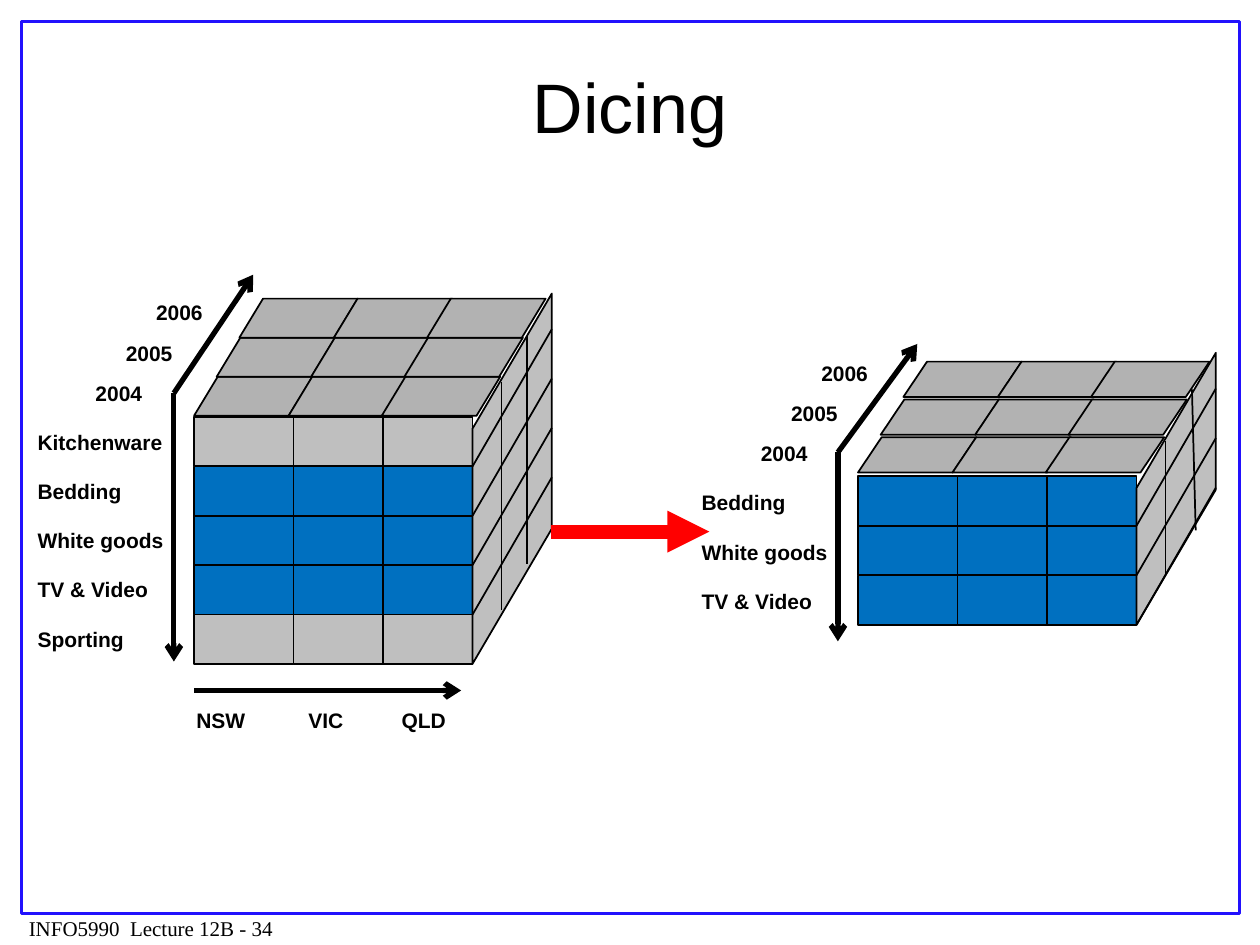
from dataclasses import dataclass

from lxml import etree
from pptx import Presentation
from pptx.dml.color import RGBColor
from pptx.enum.shapes import MSO_CONNECTOR, MSO_SHAPE
from pptx.enum.text import MSO_ANCHOR, MSO_AUTO_SIZE, PP_ALIGN
from pptx.oxml.ns import qn
from pptx.util import Inches, Pt

RECTANGLE = MSO_SHAPE.RECTANGLE
TILE = MSO_SHAPE.FLOWCHART_DATA
PARALLELOGRAM = MSO_SHAPE.PARALLELOGRAM
STRAIGHT = MSO_CONNECTOR.STRAIGHT
MIDDLE = MSO_ANCHOR.MIDDLE
CENTER = PP_ALIGN.CENTER
NO_AUTOSIZE = MSO_AUTO_SIZE.NONE
FIT_SHAPE = MSO_AUTO_SIZE.SHAPE_TO_FIT_TEXT


@dataclass(frozen=True)
class Theme:
    ink: str = "000000"
    frame: str = "2211FD"
    selected: str = "0070C0"
    unselected: str = "BFBFBF"
    top: str = "B2B2B2"
    dicing: str = "FF0000"
    font: str = "Arial"
    footer_font: str = "Times New Roman"
    title_size: int = 40
    label_size: int = 12
    edge: float = 1
    axis: float = 3


COLUMN_WIDTHS = (0.79, 0.71, 0.71)
TILE_OFFSETS = (0, 0.75, 1.49)
TILE_WIDTH = 0.94
ROW_SHIFT = 0.18
DEPTH = 0.63
RISE = 1.09
YEARS = ("2006", "2005", "2004")


class SlideBuilder:
    def __init__(self, slide, theme):
        self.slide = slide
        self.theme = theme
        self.shapes = slide.shapes

    def start_group(self):
        self.shapes = self.slide.shapes.add_group_shape().shapes

    def end_group(self):
        self.shapes = self.slide.shapes

    def add_run(self, paragraph, text, size, font, bold=False):
        run = paragraph.add_run()
        run.text = text
        run.font.size = Pt(size)
        run.font.name = font
        run.font.bold = bold
        run.font.color.rgb = RGBColor.from_string(self.theme.ink)

    def title(self, text, left, top, width, height):
        title = self.slide.shapes.title
        title.left, title.top = Inches(left), Inches(top)
        title.width, title.height = Inches(width), Inches(height)
        frame = title.text_frame
        frame.auto_size = NO_AUTOSIZE
        frame.vertical_anchor = MIDDLE
        frame.paragraphs[0].alignment = CENTER
        self.add_run(frame.paragraphs[0], text, self.theme.title_size, self.theme.font)

    def label(self, text, left, top, width=1.44, font=None, bold=True, tabs=()):
        """Add a one-line label; tabs are stops in inches from the text edge."""
        box = self.shapes.add_textbox(Inches(left), Inches(top), Inches(width), Inches(0.3))
        frame = box.text_frame
        frame.word_wrap = True
        frame.auto_size = FIT_SHAPE
        paragraph = frame.paragraphs[0]
        if tabs:
            properties = paragraph._p.get_or_add_pPr()
            stops = etree.SubElement(properties, qn("a:tabLst"))
            for stop in tabs:
                etree.SubElement(stops, qn("a:tab"), pos=str(Inches(stop)), algn="l")
        self.add_run(paragraph, text, self.theme.label_size, font or self.theme.font, bold)

    def shape(self, kind, left, top, width, height, fill=None, line=None, weight=None):
        shape = self.shapes.add_shape(
            kind, Inches(left), Inches(top), Inches(width), Inches(height))
        shape.shadow.inherit = False
        if fill:
            shape.fill.solid()
            shape.fill.fore_color.rgb = RGBColor.from_string(fill)
        else:
            shape.fill.background()
        shape.line.color.rgb = RGBColor.from_string(line or self.theme.ink)
        shape.line.width = Pt(weight or self.theme.edge)
        return shape

    def line(self, start, end, color=None, weight=None, head=None):
        connector = self.shapes.add_connector(STRAIGHT, *map(Inches, start + end))
        connector.line.color.rgb = RGBColor.from_string(color or self.theme.ink)
        connector.line.width = Pt(weight or self.theme.edge)
        if head:
            etree.SubElement(connector.line._get_or_add_ln(), qn("a:tailEnd"), type=head)
        etree.SubElement(connector._element.spPr, qn("a:effectLst"))

    def axis(self, start, end):
        self.line(start, end, weight=self.theme.axis, head="arrow")

    def cube(self, left, top, bottom, row_fills, tile_top, tile_height, tile_step,
             depth_lines, slant_count):
        """Draw the top, front and side; tile_top belongs to the nearest tile row."""
        for row in range(len(YEARS)):
            for offset in TILE_OFFSETS:
                self.shape(TILE, left + row * ROW_SHIFT + offset, tile_top - row * tile_step,
                           TILE_WIDTH, tile_height, self.theme.top)

        row_height = (bottom - top) / len(row_fills)
        for row, fill in enumerate(row_fills):
            cell_left = left
            for width in COLUMN_WIDTHS:
                self.shape(RECTANGLE, cell_left, top + row * row_height,
                           width, row_height, fill)
                cell_left += width

        # The side is laid out flat, then turned upright about its centre.
        front_right = left + sum(COLUMN_WIDTHS)
        length = bottom - top + 0.98
        side = self.shape(PARALLELOGRAM, front_right + (DEPTH - length) / 2,
                          bottom - (length + DEPTH) / 2, length, DEPTH,
                          self.theme.unselected)
        side.adjustments[0] = 1.704
        side.rotation = 270
        side._element.spPr.xfrm.set("flipH", "1")
        for start, end in depth_lines:
            self.line(start, end)
        for row in range(1, slant_count + 1):
            y = top + row * row_height
            self.line((front_right + DEPTH, y - RISE), (front_right, y))

    def row_labels(self, year_left, year_top, item_left, item_top, items):
        for row, year in enumerate(YEARS):
            self.label(year, year_left - row * 0.24, year_top + row * 0.32, 1.26)
        for row, item in enumerate(items):
            self.label(item, item_left, item_top + row * 0.39)


def main():
    theme = Theme()
    presentation = Presentation()
    presentation.slide_width, presentation.slide_height = Inches(10), Inches(7.5)
    slide = presentation.slides.add_slide(presentation.slide_layouts[5])
    page = SlideBuilder(slide, theme)
    selected_items = ["Bedding", "White goods", "TV & Video"]
    selected_fills = [theme.selected] * len(selected_items)

    page.label("INFO5990  Lecture 12B - 34", 0.13, 7.22, 2.82, theme.footer_font, False)
    page.shape(RECTANGLE, 0.17, 0.17, 9.67, 7.08, line=theme.frame, weight=1.5)
    page.title("Dicing", 0.75, 0.21, 8.5, 1.25)

    page.start_group()
    page.cube(6.81, 3.78, 4.96, selected_fills, 3.47, 0.28, 0.3,
              [((9.25, 3.5), (9.25, 4.57)), ((9.46, 3.09), (9.49, 4.21))], 3)

    page.start_group()
    page.cube(1.54, 3.31, 5.27, [theme.unselected, *selected_fills, theme.unselected],
              2.99, 0.31, 0.31,
              [((3.98, 3.03), (3.98, 4.84)), ((4.18, 2.67), (4.18, 4.48))], 4)
    page.row_labels(1.14, 2.33, 0.2, 3.36, ["Kitchenware", *selected_items, "Sporting"])
    page.axis((1.38, 3.12), (2.01, 2.18))
    page.axis((1.38, 3.12), (1.38, 5.25))
    page.label("NSW\tVIC\tQLD", 1.46, 5.57, 2.36, tabs=(0.89, 1.63))
    page.axis((1.54, 5.48), (3.66, 5.48))
    page.end_group()

    page.line((4.37, 4.22), (5.63, 4.22), theme.dicing, 8, "triangle")

    page.start_group()
    page.row_labels(6.42, 2.81, 5.47, 3.84, selected_items)
    page.axis((6.65, 3.59), (7.28, 2.73))
    page.axis((6.65, 3.59), (6.65, 5.09))

    presentation.save("out.pptx")


if __name__ == "__main__":
    main()
